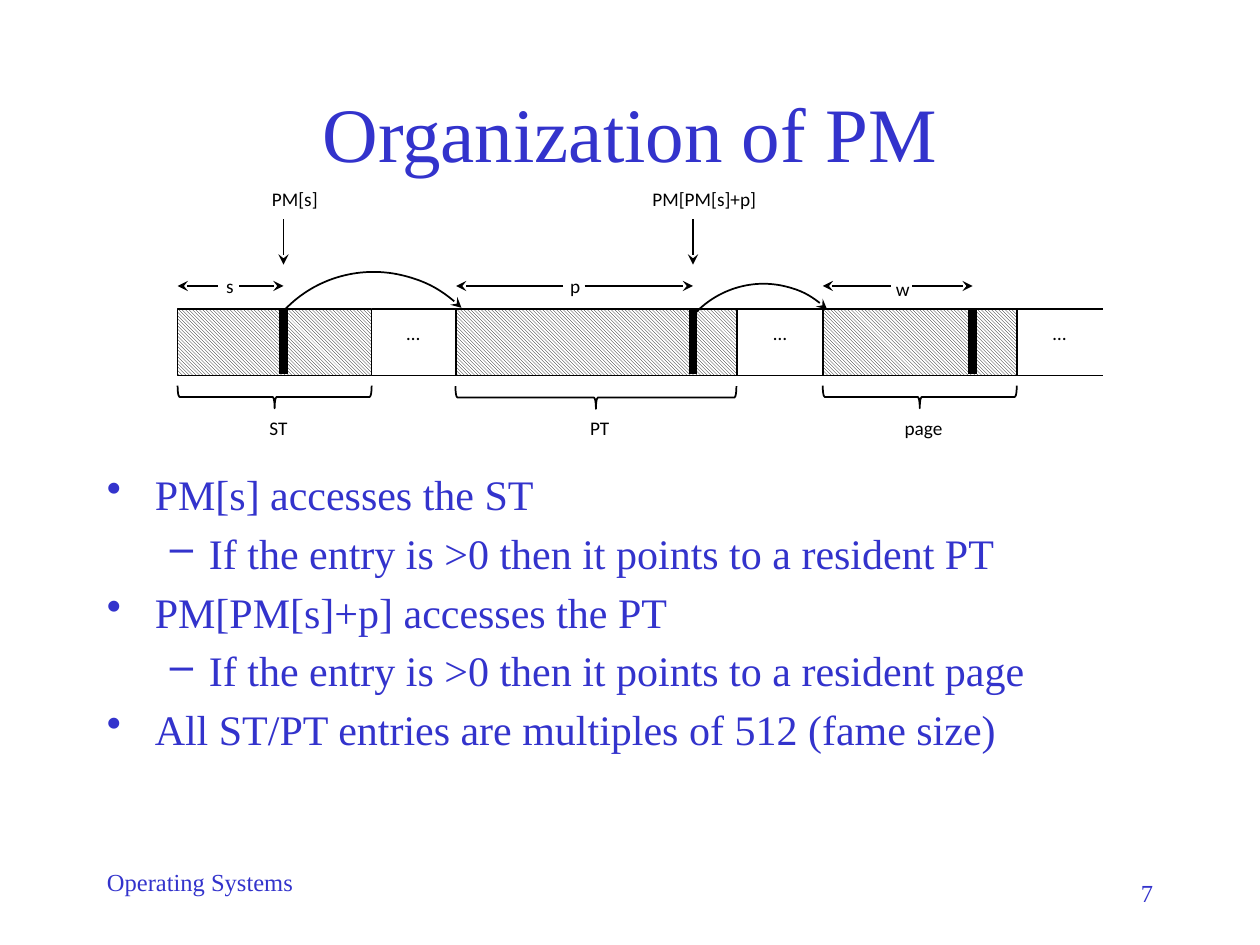
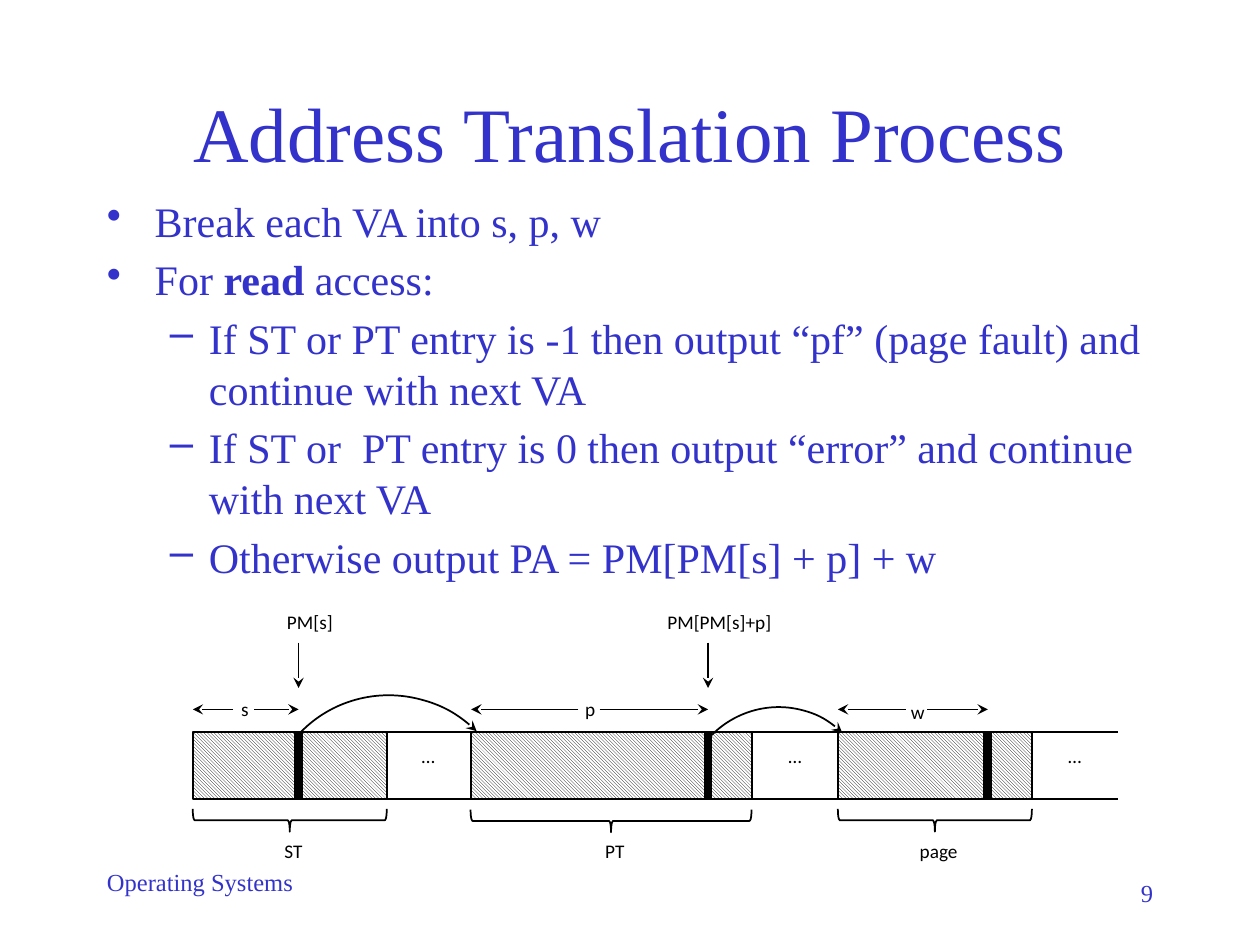
from dataclasses import dataclass

from lxml import etree
from pptx import Presentation
from pptx import util as u
from pptx.dml.color import RGBColor
from pptx.enum import dml, shapes, text
from pptx.oxml.ns import qn

EMU_PER_PX = 9144


@dataclass(frozen=True)
class Theme:
    accent: RGBColor = RGBColor(0x33, 0x33, 0xCC)
    ink: RGBColor = RGBColor(0, 0, 0)
    paper: RGBColor = RGBColor(255, 255, 255)
    serif: str = "Times New Roman"
    sans: str = "Calibri"
    title_pt: int = 44
    body_pt: int = 24
    footer_pt: int = 14
    label_pt: int = 11
    line_pt: int = 1
    entry_pt: int = 5
    body_gap_pt: float = 4.8
    label_spacing: float = 1.15


@dataclass(frozen=True)
class Box:
    left: int
    top: int
    width: int
    height: int

    def emu(self) -> list[int]:
        return [px(n) for n in (self.left, self.top, self.width, self.height)]


@dataclass(frozen=True)
class Phrase:
    words: str
    bold: bool = False


@dataclass(frozen=True)
class Level:
    mark: str
    margin: int
    hanging: int


@dataclass(frozen=True)
class Point:
    phrases: tuple[Phrase, ...]
    level: int = 0


@dataclass(frozen=True)
class Frame:
    name: str
    left: int
    width: int
    entry_x: int
    offset: str
    offset_x: int
    offset_top: int = 208
    pointer: str = ""

    @property
    def right(self) -> int:
        return self.left + self.width

    @property
    def middle(self) -> int:
        return self.left + self.width // 2


@dataclass(frozen=True)
class Page:
    title: str
    number: str
    body: Box
    points: tuple[Point, ...]
    memory_x: int
    memory_y: int


THEME = Theme()
LEVELS = (Level("•", 38, 38), Level("–", 81, 31))
TITLE_BOX = Box(75, 67, 850, 75)
COURSE_BOX = Box(75, 683, 208, 50)
NUMBER_BOX = Box(717, 692, 208, 42)

MEMORY_TOP, MEMORY_BOTTOM, MEMORY_END = 245, 298, 875
OFFSET_Y = 227
FRAMES = (
    Frame("ST", 141, 154, 225, "s", 182, pointer="PM[s]"),
    Frame("PT", 362, 223, 550, "p", 456, pointer="PM[PM[s]+p]"),
    Frame("page", 653, 154, 772, "w", 716, offset_top=210),
)
JUMPS = (Box(200, 215, 196, 199), Box(530, 226, 149, 146))


def point(words: str, level: int = 0) -> Point:
    return Point((Phrase(words),), level)


PAGES = (
    Page("Organization of PM", "7", Box(75, 367, 858, 300), (
        point("PM[s] accesses the ST"),
        point("If the entry is >0 then it points to a resident PT", 1),
        point("PM[PM[s]+p] accesses the PT"),
        point("If the entry is >0 then it points to a resident page", 1),
        point("All ST/PT entries are multiples of 512 (fame size)"),
    ), 0, 0),
    Page("Address Translation Process", "9", Box(75, 150, 850, 517), (
        point("Break each VA into s, p, w"),
        Point((Phrase("For "), Phrase("read", True), Phrase(" access:"))),
        point("If ST or PT entry is -1 then output “pf” (page fault) and continue with next VA", 1),
        point("If ST or  PT entry is 0 then output “error” and continue with next VA", 1),
        point("Otherwise output PA = PM[PM[s] + p] + w", 1),
    ), 12, 336),
)


def px(length: int) -> int:
    return length * EMU_PER_PX


def add_run(paragraph, words: str, size: int, face: str, color: RGBColor, bold: bool = False) -> None:
    run = paragraph.add_run()
    run.text = words
    run.font.size = u.Pt(size)
    run.font.name = face
    run.font.bold = bold
    run.font.color.rgb = color


def add_frame(slide, box: Box):
    frame = slide.shapes.add_textbox(*box.emu()).text_frame
    frame.word_wrap = True
    return frame


def add_serif_line(slide, box: Box, words: str, size: int,
                   align=text.PP_ALIGN.LEFT, anchor=text.MSO_ANCHOR.TOP) -> None:
    frame = add_frame(slide, box)
    frame.vertical_anchor = anchor
    frame.paragraphs[0].alignment = align
    add_run(frame.paragraphs[0], words, size, THEME.serif, THEME.accent)


def add_points(slide, page: Page) -> None:
    frame = add_frame(slide, page.body)
    for index, item in enumerate(page.points):
        paragraph = frame.add_paragraph() if index else frame.paragraphs[0]
        paragraph.level = item.level
        paragraph.space_before = u.Pt(THEME.body_gap_pt)
        level = LEVELS[item.level]
        properties = paragraph._p.get_or_add_pPr()
        properties.set("marL", str(px(level.margin)))
        properties.set("indent", str(-px(level.hanging)))
        etree.SubElement(properties, qn("a:buChar")).set("char", level.mark)
        for phrase in item.phrases:
            add_run(paragraph, phrase.words, THEME.body_pt, THEME.serif, THEME.accent, phrase.bold)


def ink_outline(shape, arrow: bool = False, width: int = THEME.line_pt) -> None:
    shape.line.color.rgb = THEME.ink
    shape.line.width = u.Pt(width)
    if arrow:
        outline = shape.element.spPr.find(qn("a:ln"))
        etree.SubElement(outline, qn("a:tailEnd")).set("type", "stealth")


class MemoryMap:
    def __init__(self, slide, x: int, y: int) -> None:
        self.slide = slide
        self.x = x
        self.y = y

    def place(self, box: Box) -> Box:
        return Box(box.left + self.x, box.top + self.y, box.width, box.height)

    def shape(self, kind, box: Box, rotation: float = 0):
        shape = self.slide.shapes.add_shape(kind, *self.place(box).emu())
        shape.shadow.inherit = False
        shape.rotation = rotation
        shape.fill.background()
        return shape

    def line(self, x1: int, y1: int, x2: int, y2: int,
             arrow: bool = False, width: int = THEME.line_pt) -> None:
        ends = (x1 + self.x, y1 + self.y, x2 + self.x, y2 + self.y)
        line = self.slide.shapes.add_connector(
            shapes.MSO_CONNECTOR.STRAIGHT, *(px(n) for n in ends))
        ink_outline(line, arrow, width)
        etree.SubElement(line.element.spPr, qn("a:effectLst"))

    def label(self, words: str, middle: int, top: int, width: int, height: int = 35) -> None:
        frame = add_frame(self.slide, self.place(Box(middle - width // 2, top, width, height)))
        frame.margin_left = frame.margin_right = frame.margin_top = frame.margin_bottom = 0
        frame.vertical_anchor = text.MSO_ANCHOR.MIDDLE
        paragraph = frame.paragraphs[0]
        paragraph.alignment = text.PP_ALIGN.CENTER
        paragraph.line_spacing = THEME.label_spacing
        add_run(paragraph, words, THEME.label_pt, THEME.sans, THEME.ink)

    def frame(self, frame: Frame) -> None:
        block = self.shape(shapes.MSO_SHAPE.RECTANGLE,
                           Box(frame.left, MEMORY_TOP, frame.width, MEMORY_BOTTOM - MEMORY_TOP))
        block.fill.patterned()
        block.fill.pattern = dml.MSO_PATTERN.LIGHT_DOWNWARD_DIAGONAL
        block.fill.fore_color.rgb = THEME.ink
        block.fill.back_color.rgb = THEME.paper
        ink_outline(block)
        self.line(frame.entry_x, MEMORY_TOP + 1, frame.entry_x, MEMORY_BOTTOM - 1,
                  width=THEME.entry_pt)

        self.label(frame.offset, frame.offset_x, frame.offset_top, 17)
        self.line(frame.offset_x - 9, OFFSET_Y, frame.left, OFFSET_Y, arrow=True)
        self.line(frame.offset_x + 8, OFFSET_Y, frame.entry_x, OFFSET_Y, arrow=True)

        brace = self.shape(shapes.MSO_SHAPE.LEFT_BRACE,
                           Box(frame.middle - 9, 315 - frame.width // 2, 18, frame.width), 270)
        ink_outline(brace)
        self.label(frame.name, frame.middle + 3, 325, 44, 26)
        if frame.pointer:
            self.label(frame.pointer, frame.entry_x + 9, 139, 120)
            self.line(frame.entry_x, 174, frame.entry_x, 210, arrow=True)

    def gap(self, left: int, right: int) -> None:
        for edge in (MEMORY_TOP, MEMORY_BOTTOM):
            self.line(right, edge, left, edge)
        self.label("…", (left + right) // 2, MEMORY_TOP, 34)

    def draw(self) -> None:
        for frame in FRAMES:
            self.frame(frame)
        gap_ends = [frame.left for frame in FRAMES[1:]] + [MEMORY_END]
        for frame, end in zip(FRAMES, gap_ends):
            self.gap(frame.right, end)
        for jump in JUMPS:
            ink_outline(self.shape(shapes.MSO_SHAPE.ARC, jump, 314.2), arrow=True)


def add_page(deck, page: Page) -> None:
    slide = deck.slides.add_slide(deck.slide_layouts[6])
    add_serif_line(slide, TITLE_BOX, page.title, THEME.title_pt,
                   text.PP_ALIGN.CENTER, text.MSO_ANCHOR.MIDDLE)
    add_serif_line(slide, COURSE_BOX, "Operating Systems", THEME.footer_pt)
    add_serif_line(slide, NUMBER_BOX, page.number, THEME.footer_pt, text.PP_ALIGN.RIGHT)
    add_points(slide, page)
    MemoryMap(slide, page.memory_x, page.memory_y).draw()


def main() -> None:
    deck = Presentation()
    deck.slide_width, deck.slide_height = px(1000), px(750)
    for page in PAGES:
        add_page(deck, page)
    deck.save("out.pptx")


if __name__ == "__main__":
    main()
